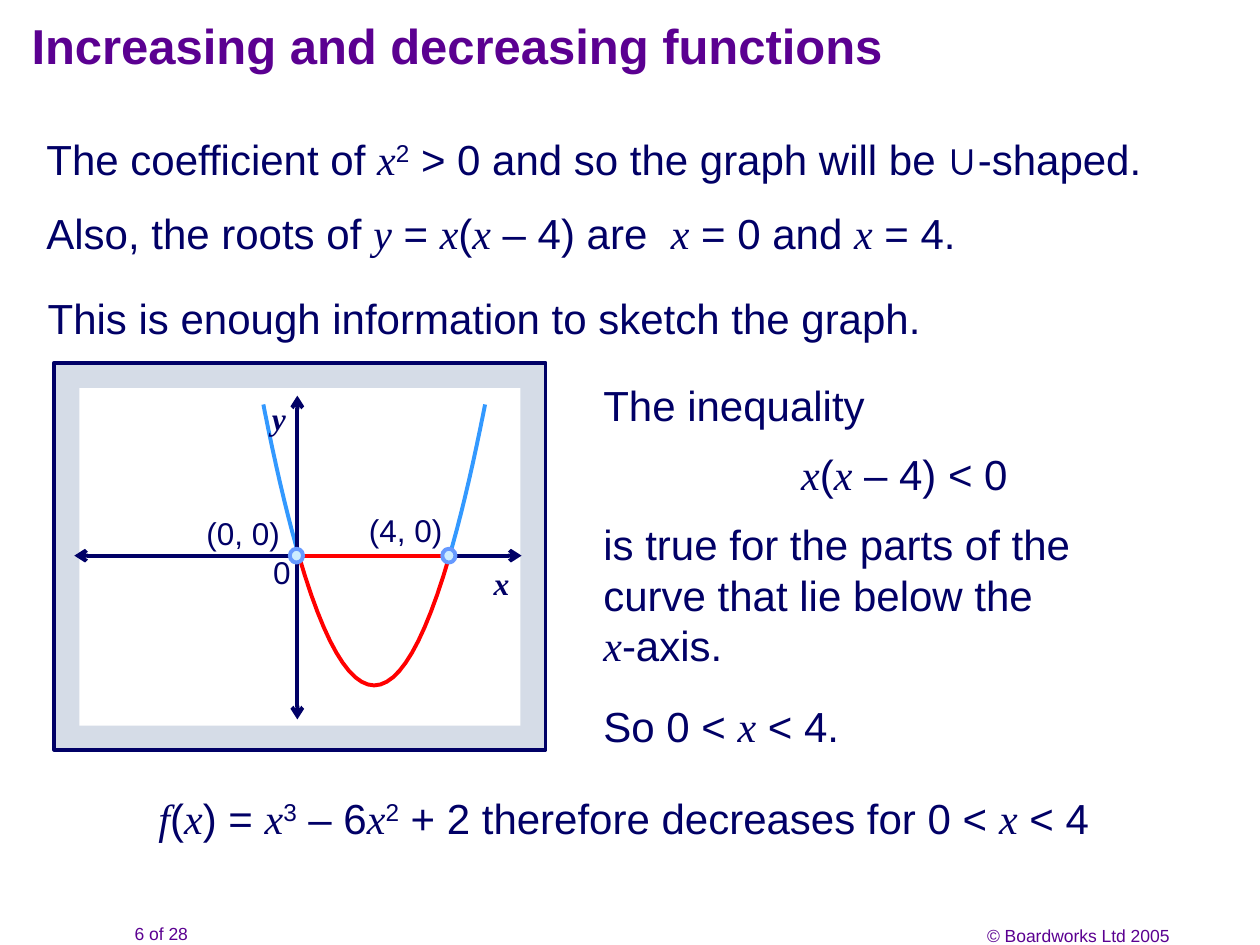
from dataclasses import dataclass

from lxml import etree
from pptx import Presentation, util as u
from pptx.dml.color import RGBColor
from pptx.enum import shapes, text
from pptx.oxml.ns import qn


@dataclass(frozen=True)
class Theme:
    """Colours, fonts, type sizes and line width of the slide."""
    heading: str = "5B0091"
    ink: str = "010066"
    axis: str = "000066"
    border: str = "D5DCE7"
    paper: str = "FFFFFF"
    above: str = "3399FF"
    below: str = "FF0000"
    dot: str = "CCECFF"
    ring: str = "6699FF"
    sans: str = "Arial"
    maths: str = "Times New Roman"
    title_size: int = 28
    body_size: int = 24
    label_size: int = 18
    footer_size: int = 10
    stroke: float = 2.25


THEME = Theme()
COLUMNS, ROWS = 40, 30
WIDTH, HEIGHT = u.Inches(10), u.Inches(7.5)
ITALIC, RAISED, BOLD = "*", "^", "_"
AXIS_ROW, AXIS_COLUMN = 17.64, 9.44
VERTEX_COLUMN, VERTEX_ROW, STEEPNESS = 11.88, 21.76, 0.72
ROOT_REACH, ARM_REACH = 2.4, 3.52


def point(column, row):
    """Turn a grid position into slide lengths."""
    return round(column * WIDTH / COLUMNS), round(row * HEIGHT / ROWS)


def area(column, row, columns, rows):
    """Turn a grid rectangle into left, top, width and height."""
    return *point(column, row), *point(columns, rows)


def parse_spans(markup):
    """Yield each stretch of text with the set of styles switched on."""
    styles, stretch = set(), ""
    for letter in markup:
        if letter in (ITALIC, RAISED, BOLD):
            if stretch:
                yield stretch, set(styles)
            styles ^= {letter}
            stretch = ""
        else:
            stretch += letter
    if stretch:
        yield stretch, styles


def style_font(font, size, colour, name=THEME.sans):
    """Set the face, size and colour of a font."""
    font.name, font.size = name, u.Pt(size)
    font.color.rgb = RGBColor.from_string(colour)


def add_text(page, place, lines, size=THEME.body_size, colour=THEME.ink,
             align=text.PP_ALIGN.LEFT):
    """Add a text box with one paragraph for each marked-up line."""
    frame = page.shapes.add_textbox(*area(*place)).text_frame
    frame.word_wrap = True
    frame.auto_size = text.MSO_AUTO_SIZE.SHAPE_TO_FIT_TEXT
    frame.text = "\n".join(lines)
    for para, markup in zip(frame.paragraphs, lines):
        para.text = ""
        para.alignment = align
        for stretch, styles in parse_spans(markup):
            span = para.add_run()
            span.text = stretch
            italic = ITALIC in styles
            style_font(span.font, size, colour, THEME.maths if italic else THEME.sans)
            span.font.italic, span.font.bold = italic, BOLD in styles
            if RAISED in styles:
                span._r.get_or_add_rPr().set("baseline", "30000")


def add_title(page, wording):
    """Fill and place the title placeholder."""
    title = page.shapes.title
    title.left, title.top, title.width, title.height = area(0.6, 0.2, 36, 2.44)
    frame = title.text_frame
    frame.text = wording
    frame.vertical_anchor = text.MSO_ANCHOR.MIDDLE
    frame.auto_size = text.MSO_AUTO_SIZE.NONE
    para = frame.paragraphs[0]
    para.alignment = text.PP_ALIGN.LEFT
    style_font(para.runs[0].font, THEME.title_size, THEME.heading)
    para.runs[0].font.bold = True


def draw_line(line, colour):
    """Give an outline its colour and the common width."""
    line.color.rgb = RGBColor.from_string(colour)
    line.width = u.Pt(THEME.stroke)


def add_preset(page, kind, place, fill, outline=None):
    """Add a filled preset shape, outlined if a colour is given."""
    shape = page.shapes.add_shape(kind, *area(*place))
    shape.shadow.inherit = False
    shape.fill.solid()
    shape.fill.fore_color.rgb = RGBColor.from_string(fill)
    if outline:
        draw_line(shape.line, outline)
    else:
        shape.line.fill.background()


def add_segment(page, start, end, colour, arrows=False):
    """Add a straight line, with arrowheads at both ends on request."""
    segment = page.shapes.add_connector(
        shapes.MSO_CONNECTOR.STRAIGHT, *point(*start), *point(*end))
    draw_line(segment.line, colour)
    if arrows:
        for tag in ("a:headEnd", "a:tailEnd"):
            etree.SubElement(segment.line._get_or_add_ln(), qn(tag), type="arrow")
    etree.SubElement(segment._element.spPr, qn("a:effectLst"))


def add_parabola(page, start, end, colour, steps=24):
    """Draw the parabola between two offsets from its vertex."""
    offsets = [start + (end - start) * step / steps for step in range(steps + 1)]
    dots = [point(VERTEX_COLUMN + offset, VERTEX_ROW - STEEPNESS * offset ** 2)
            for offset in offsets]
    builder = page.shapes.build_freeform(*dots[0])
    builder.add_line_segments(dots[1:], close=False)
    curve = builder.convert_to_shape()
    curve.shadow.inherit = False
    curve.fill.background()
    draw_line(curve.line, colour)


def add_graph(page):
    """Draw the framed sketch of the quadratic."""
    box = shapes.MSO_SHAPE.RECTANGLE
    add_preset(page, box, (1.72, 11.52, 15.6, 12.28), THEME.border, THEME.axis)
    add_preset(page, box, (2.52, 12.32, 14, 10.72), THEME.paper)
    add_segment(page, (2.36, AXIS_ROW), (16.56, AXIS_ROW), THEME.axis, arrows=True)
    add_parabola(page, -ARM_REACH, -ROOT_REACH, THEME.above)
    add_parabola(page, ROOT_REACH, ARM_REACH, THEME.above)
    add_parabola(page, -ROOT_REACH, ROOT_REACH, THEME.below)
    add_segment(page, (AXIS_COLUMN, 22.84), (AXIS_COLUMN, 12.56), THEME.axis, arrows=True)
    for column, row, width, label in (
            (8.24, 12.48, 1.5, "_*y*_"), (8.28, 17.36, 1.6, "0"),
            (15.28, 17.72, 1.5, "_*x*_"), (6.16, 16.12, 3.5, "(0, 0)"),
            (11.32, 16.04, 3.5, "(4, 0)")):
        add_text(page, (column, row, width, 1.6), [label], THEME.label_size)
    add_segment(page, (9.28, AXIS_ROW), (14.32, AXIS_ROW), THEME.below)
    for column in (9.2, 14.04):
        add_preset(page, shapes.MSO_SHAPE.OVAL, (column, AXIS_ROW - 0.22, 0.42, 0.44),
                   THEME.dot, THEME.ring)


def add_statements(page):
    """Write the argument around the sketch."""
    for place, lines in (
            ((1.08, 4.04, 38.48, 2),
             ["The coefficient of *x*^2^ > 0 and so the graph will be _∪_-shaped."]),
            ((1.08, 6.4, 30.2, 2),
             ["Also, the roots of *y* = *x*(*x* – 4) are  *x* = 0 and *x* = 4."]),
            ((1.12, 9.08, 29.4, 2), ["This is enough information to sketch the graph."]),
            ((18.76, 11.84, 18.28, 2), ["The inequality"]),
            ((25.04, 14.04, 7.8, 2), ["*x*(*x* – 4) < 0"]),
            ((18.76, 16.28, 16.6, 5.2),
             ["is true for the parts of the curve that lie below the", "*x*-axis."]),
            ((18.76, 22.04, 8.7, 2), ["So 0 < *x* < 4."]),
            ((4.64, 24.96, 31.2, 2),
             ["*f*(*x*) = *x*^3^ – 6*x*^2^ + 2 therefore decreases for 0 < *x* < 4"])):
        add_text(page, place, lines)


def add_footer(page):
    """Write the page count and the copyright line."""
    for place, line, align in (
            ((3.88, 29.12, 4.88, 1.08), "6 of 28", text.PP_ALIGN.LEFT),
            ((28.2, 29.16, 9.32, 1.08), "© Boardworks Ltd 2005", text.PP_ALIGN.RIGHT)):
        add_text(page, place, [line], THEME.footer_size, THEME.heading, align)


def main():
    """Build and save the deck."""
    deck = Presentation()
    deck.slide_width, deck.slide_height = WIDTH, HEIGHT
    page = deck.slides.add_slide(deck.slide_layouts[5])
    add_title(page, "Increasing and decreasing functions")
    add_graph(page)
    add_statements(page)
    add_footer(page)
    deck.save("out.pptx")


if __name__ == "__main__":
    main()
